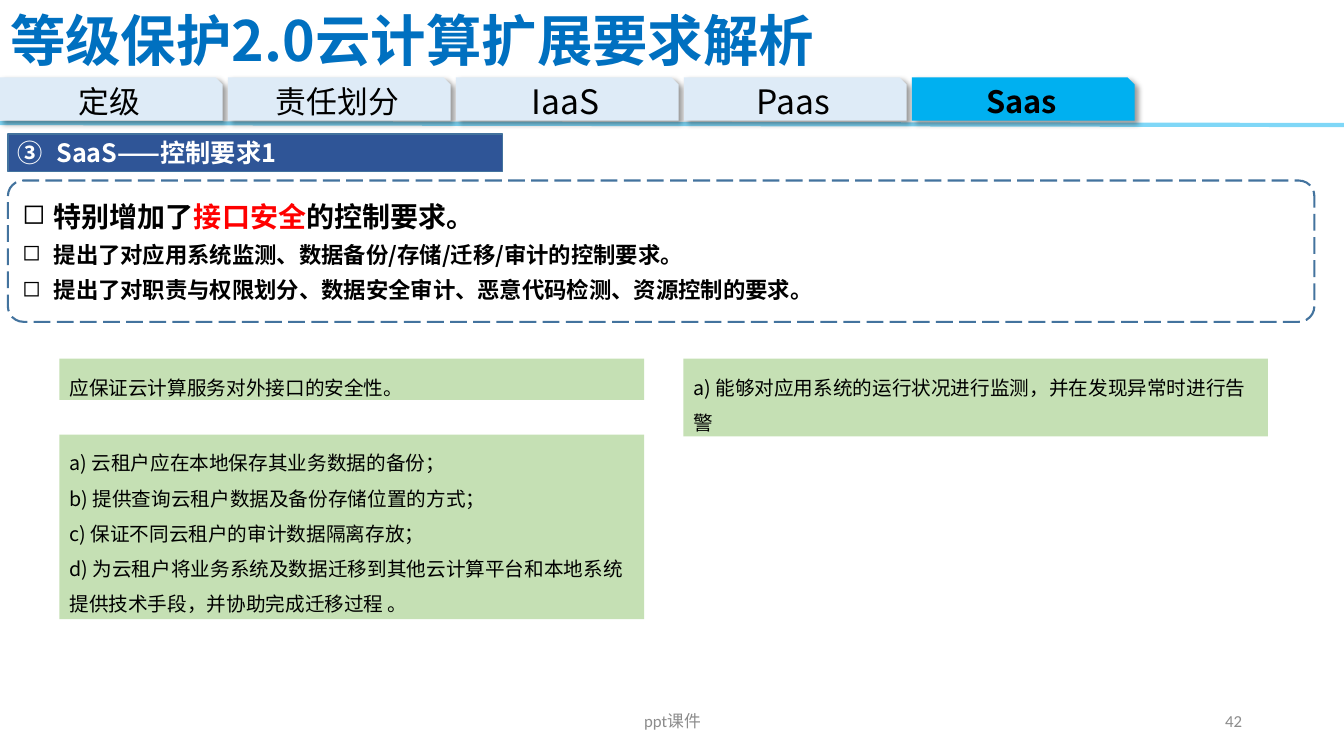
from lxml import etree
from pptx import Presentation
from pptx import util as u
from pptx.dml.color import RGBColor
from pptx.enum import dml, shapes, text
from pptx.oxml.ns import qn

CJK, LATIN = "Noto Sans CJK SC", "Calibri"
COLORS = {"title": "0070C0", "tab": "DEEBF7", "active": "00B0F0", "banner": "2F5597",
          "edge": "43739E", "card": "C5E0B4", "text": "000000", "white": "FFFFFF",
          "accent": "FF0000", "footer": "8C8C8C"}

TITLE = "等级保护2.0云计算扩展要求解析"
TABS = [("定级", 22), ("责任划分", 22), ("IaaS", 24), ("Paas", 24), ("Saas", 22)]
ACTIVE_TAB = "Saas"
BANNER = "SaaS——控制要求1"
SUMMARY = [
    (20, [("特别增加了", "text"), ("接口安全", "accent"), ("的控制要求。", "text")]),
    (16, [("提出了对应用系统监测、数据备份/存储/迁移/审计的控制要求。", "text")]),
    (16, [("提出了对职责与权限划分、数据安全审计、恶意代码检测、资源控制的要求。", "text")]),
]
LEFT_X, RIGHT_X = 1.5, 17.22
CARDS = [
    (LEFT_X, 9.04, 1.04, ["应保证云计算服务对外接口的安全性。"]),
    (LEFT_X, 10.95, 4.65, [
        "a) 云租户应在本地保存其业务数据的备份；",
        "b) 提供查询云租户数据及备份存储位置的方式；",
        "c) 保证不同云租户的审计数据隔离存放；",
        "d) 为云租户将业务系统及数据迁移到其他云计算平台和本地系统提供技术手段，并协助完成迁移过程 。"]),
    (RIGHT_X, 9.04, 1.96, ["a) 能够对应用系统的运行状况进行监测，并在发现异常时进行告警"]),
]
FOOTERS = [("42", 23.93, 7.62, text.PP_ALIGN.RIGHT),
           ("ppt课件", 11.23, 11.43, text.PP_ALIGN.CENTER)]


def rgb(name):
    return RGBColor.from_string(COLORS[name])


def box(*lengths):
    return [u.Cm(v) for v in lengths]


def add_xml(parent, tag, **attrs):
    return etree.SubElement(parent, qn(tag), {k: str(v) for k, v in attrs.items()})


def style(r, size, color="text", bold=False, font=CJK):
    r.font.size, r.font.bold, r.font.name = u.Pt(size), bold, font
    r.font.color.rgb = rgb(color)
    add_xml(r._r.get_or_add_rPr(), "a:ea", typeface=CJK)


def write(sp, lines, size, align, color="text", bold=False, font=CJK,
          anchor=text.MSO_ANCHOR.MIDDLE, spacing=None):
    tf = sp.text_frame
    tf.text = "\n".join(lines)
    tf.word_wrap = True
    tf.vertical_anchor = anchor
    for p in tf.paragraphs:
        p.alignment = align
        if spacing:
            p.line_spacing = spacing
        for r in p.runs:
            style(r, size, color, bold, font)
    return tf


def bullet(p, indent, tag, **attrs):
    pPr = p._p.get_or_add_pPr()
    pPr.set("marL", str(u.Cm(indent)))
    pPr.set("indent", str(-u.Cm(indent)))
    add_xml(pPr, tag, **attrs)


def add_box(s, kind, bounds, fill=None, edge=None, width=1):
    sp = s.shapes.add_shape(kind, *box(*bounds))
    sp.shadow.inherit = False
    if fill:
        sp.fill.solid()
        sp.fill.fore_color.rgb = rgb(fill)
    else:
        sp.fill.background()
    if edge:
        sp.line.color.rgb = rgb(edge)
        sp.line.width = u.Pt(width)
    else:
        sp.line.fill.background()
    return sp


def add_rule(s):
    rule = s.shapes.add_connector(shapes.MSO_CONNECTOR.STRAIGHT, *box(0, 3.1, 33.87, 3.15))
    rule.line.color.rgb = rgb("active")
    rule.line.width = u.Pt(3)
    clr = rule._element.spPr.find(".//" + qn("a:srgbClr"))
    add_xml(clr, "a:alpha", val=50000)
    add_xml(rule._element.spPr, "a:effectLst")


def add_tabs(s):
    for i, (label, size) in enumerate(TABS):
        active = label == ACTIVE_TAB
        sp = add_box(s, shapes.MSO_SHAPE.SNIP_1_RECTANGLE, (5.745 * i, 1.95, 5.61, 1.09),
                     "active" if active else "tab")
        effects = sp._element.spPr.find(qn("a:effectLst"))
        shadow = add_xml(effects, "a:outerShdw", blurRad=u.Pt(4), dist=u.Pt(3),
                         dir=45 * 60000, algn="tl", rotWithShape=0)
        clr = add_xml(shadow, "a:srgbClr", val=COLORS["text"])
        add_xml(clr, "a:alpha", val=40000)
        write(sp, [label], size, text.PP_ALIGN.CENTER, bold=active)


def add_summary(s):
    sp = add_box(s, shapes.MSO_SHAPE.ROUNDED_RECTANGLE, (0.2, 4.55, 32.92, 3.56),
                 edge="edge", width=1.5)
    sp.adjustments[0] = 0.11
    sp.line.dash_style = dml.MSO_LINE.LONG_DASH
    tf = sp.text_frame
    tf.word_wrap = True
    tf.vertical_anchor = text.MSO_ANCHOR.MIDDLE
    for i, (size, parts) in enumerate(SUMMARY):
        p = tf.add_paragraph() if i else tf.paragraphs[0]
        p.alignment = text.PP_ALIGN.JUSTIFY
        p.space_after = u.Pt(6)
        bullet(p, 0.79, "a:buChar", char="◻")
        for words, color in parts:
            r = p.add_run()
            r.text = words
            style(r, size, color, True)


def main():
    prs = Presentation()
    prs.slide_width, prs.slide_height = u.Inches(13.333), u.Inches(7.5)
    s = prs.slides.add_slide(prs.slide_layouts[5])
    add_rule(s)

    title = s.shapes.title
    title.left, title.top, title.width, title.height = box(0, 0.03, 21.87, 1.9)
    write(title, [TITLE], 39.6, text.PP_ALIGN.JUSTIFY, "title", True)
    title.text_frame.auto_size = text.MSO_AUTO_SIZE.NONE

    add_tabs(s)
    banner = add_box(s, shapes.MSO_SHAPE.RECTANGLE, (0.2, 3.38, 12.47, 0.94), "banner", "edge")
    tf = write(banner, [BANNER], 18, text.PP_ALIGN.JUSTIFY, "white", True)
    bullet(tf.paragraphs[0], 0.97, "a:buAutoNum", type="circleNumDbPlain", startAt=3)
    add_summary(s)

    for x, y, height, lines in CARDS:
        card = add_box(s, shapes.MSO_SHAPE.RECTANGLE, (x, y, 14.73, height), "card")
        tf = write(card, lines, 14, text.PP_ALIGN.LEFT,
                   anchor=text.MSO_ANCHOR.TOP, spacing=1.5)
        tf.auto_size = text.MSO_AUTO_SIZE.SHAPE_TO_FIT_TEXT

    for words, x, width, align in FOOTERS:
        footer = s.shapes.add_textbox(*box(x, 17.65, width, 1.02))
        write(footer, [words], 12, align, "footer", font=LATIN)

    prs.save("out.pptx")


if __name__ == "__main__":
    main()
